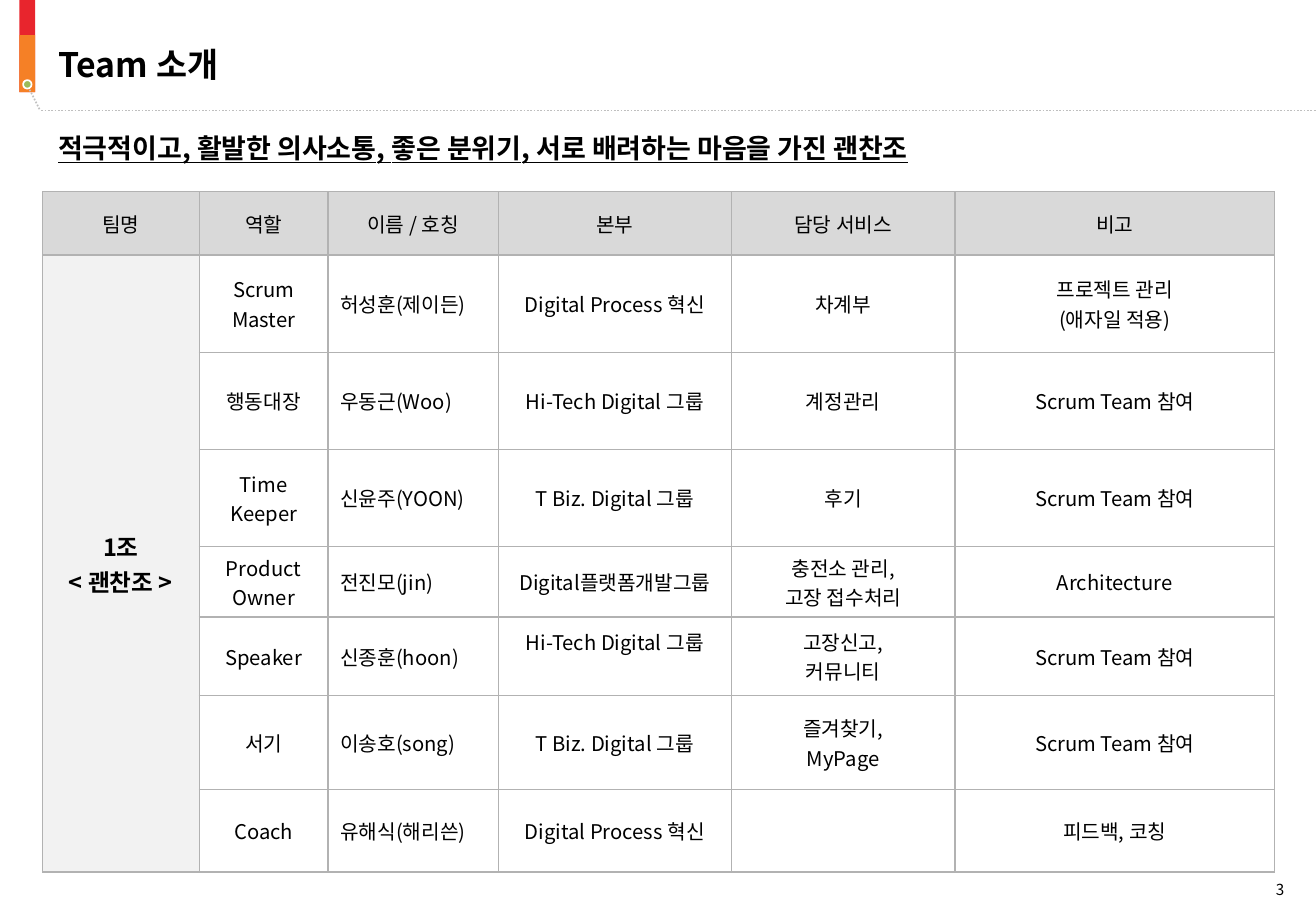
from lxml import etree
from pptx import Presentation
from pptx.dml.color import RGBColor
from pptx.enum.dml import MSO_LINE
from pptx.enum.shapes import MSO_CONNECTOR, MSO_SHAPE
from pptx.enum.text import MSO_ANCHOR, PP_ALIGN
from pptx.oxml.ns import qn
from pptx.util import Inches, Pt

FONT = "Noto Sans CJK KR"
BLACK = RGBColor(0, 0, 0)
WHITE = RGBColor(0xFF, 0xFF, 0xFF)
RED = RGBColor(0xE8, 0x25, 0x2D)
ORANGE = RGBColor(0xF5, 0x80, 0x26)
GREEN = RGBColor(0x9B, 0xBB, 0x59)
LINE_GRAY = RGBColor(0xBF, 0xBF, 0xBF)
BORDER_GRAY = RGBColor(0xB2, 0xB2, 0xB2)
HEADER_GRAY = RGBColor(0xD9, 0xD9, 0xD9)
TEAM_GRAY = RGBColor(0xF2, 0xF2, 0xF2)
LEFT, CENTER = PP_ALIGN.LEFT, PP_ALIGN.CENTER
MIDDLE, BOTTOM = MSO_ANCHOR.MIDDLE, MSO_ANCHOR.BOTTOM
RECT, OVAL = MSO_SHAPE.RECTANGLE, MSO_SHAPE.OVAL
STRAIGHT = MSO_CONNECTOR.STRAIGHT
DOTTED = MSO_LINE.ROUND_DOT

COL_WIDTHS = [1.29, 1.06, 1.4, 1.92, 1.84, 2.63]
ROW_HEIGHTS = [0.52, 0.8, 0.8, 0.8, 0.58, 0.65, 0.77, 0.68]
NAME_COL = 2
HEADER = ["팀명", "역할", "이름 / 호칭", "본부", "담당 서비스", "비고"]
TEAM_NAME = "1조\n< 괜찬조 >"
MEMBERS = [
    ["Scrum Master", "허성훈(제이든)", "Digital Process 혁신", "차계부", "프로젝트 관리\n(애자일 적용)"],
    ["행동대장", "우동근(Woo)", "Hi-Tech Digital 그룹", "계정관리", "Scrum Team 참여"],
    ["Time\nKeeper", "신윤주(YOON)", "T Biz. Digital 그룹", "후기", "Scrum Team 참여"],
    ["Product Owner", "전진모(jin)", "Digital플랫폼개발그룹", "충전소 관리,\n고장 접수처리", "Architecture"],
    ["Speaker", "신종훈(hoon)", "Hi-Tech Digital 그룹", "고장신고,\n커뮤니티", "Scrum Team 참여"],
    ["서기", "이송호(song)", "T Biz. Digital 그룹", "즐겨찾기,\nMyPage", "Scrum Team 참여"],
    ["Coach", "유해식(해리쓴)", "Digital Process 혁신", "", "피드백, 코칭"],
]


def write(tf, text, size, align=LEFT, bold=False, underline=False):
    tf.text = text
    for p in tf.paragraphs:
        p.alignment = align
        p.font.size = Pt(size)
        p.font.bold = bold
        p.font.underline = underline
        p.font.color.rgb = BLACK
        p.font.name = FONT
        props = p._p.pPr.find(qn("a:defRPr"))
        etree.SubElement(props, qn("a:ea"), typeface=FONT)


def add_text(slide, box, text, size, anchor=MIDDLE, **style):
    tf = slide.shapes.add_textbox(*map(Inches, box)).text_frame
    tf.word_wrap = True
    tf.vertical_anchor = anchor
    tf.margin_left = tf.margin_right = tf.margin_top = tf.margin_bottom = 0
    write(tf, text, size, **style)
    return tf


def add_block(slide, kind, box, fill, outline=None):
    sp = slide.shapes.add_shape(kind, *map(Inches, box))
    sp.shadow.inherit = False
    sp.fill.solid()
    sp.fill.fore_color.rgb = fill
    if outline is None:
        sp.line.fill.background()
    else:
        sp.line.color.rgb = outline
        sp.line.width = Pt(1)


def add_dotted_line(slide, *ends):
    line = slide.shapes.add_connector(STRAIGHT, *map(Inches, ends))
    line.line.color.rgb = LINE_GRAY
    line.line.width = Pt(1)
    line.line.dash_style = DOTTED
    etree.SubElement(line._element.spPr, qn("a:effectLst"))


def set_borders(cell):
    props = cell._tc.get_or_add_tcPr()
    for i, side in enumerate(("lnL", "lnR", "lnT", "lnB")):
        ln = etree.Element(qn(f"a:{side}"), w=str(Pt(0.75)))
        fill = etree.SubElement(ln, qn("a:solidFill"))
        etree.SubElement(fill, qn("a:srgbClr"), val=str(BORDER_GRAY))
        props.insert(i, ln)


def fill_cell(cell, text, size=12, align=CENTER, bold=False, fill=None):
    cell.vertical_anchor = MIDDLE
    write(cell.text_frame, text, size, align, bold)
    if fill is None:
        cell.fill.background()
    else:
        cell.fill.solid()
        cell.fill.fore_color.rgb = fill


def add_team_table(slide):
    box = (0.35, 1.58, sum(COL_WIDTHS), sum(ROW_HEIGHTS))
    table = slide.shapes.add_table(
        len(ROW_HEIGHTS), len(COL_WIDTHS), *map(Inches, box)).table
    table.first_row = table.horz_banding = False
    for col, width in zip(table.columns, COL_WIDTHS):
        col.width = Inches(width)
    for row, height in zip(table.rows, ROW_HEIGHTS):
        row.height = Inches(height)
    for c, title in enumerate(HEADER):
        fill_cell(table.cell(0, c), title, fill=HEADER_GRAY)
    for r, member in enumerate(MEMBERS, 1):
        for c, text in enumerate(member, 1):
            align = LEFT if c == NAME_COL else CENTER
            fill_cell(table.cell(r, c), text, align=align)
    team = table.cell(1, 0)
    team.merge(table.cell(len(MEMBERS), 0))
    fill_cell(team, TEAM_NAME, size=14, bold=True, fill=TEAM_GRAY)
    speaker_division = table.cell(5, 3)
    speaker_division.margin_bottom = Inches(0.29)
    for cell in table.iter_cells():
        set_borders(cell)


def main():
    prs = Presentation()
    prs.slide_width, prs.slide_height = Inches(10.83), Inches(7.5)
    slide = prs.slides.add_slide(prs.slide_layouts[6])
    add_dotted_line(slide, 0.34, 0.91, 10.83, 0.91)
    add_block(slide, RECT, (0.16, 0, 0.13, 0.76), RED)
    add_block(slide, RECT, (0.16, 0.29, 0.13, 0.47), ORANGE)
    add_dotted_line(slide, 0.22, 0.69, 0.33, 0.91)
    add_block(slide, OVAL, (0.19, 0.66, 0.07, 0.07), GREEN, WHITE)
    add_text(slide, (10.28, 7.13, 0.51, 0.27), "3", 9, BOTTOM, align=CENTER)
    title = add_text(slide, (0.48, 0.29, 8.23, 0.51), "Team 소개", 20, bold=True)
    title.paragraphs[0].line_spacing = 0.9
    add_team_table(slide)
    add_text(slide, (0.48, 0.96, 10.14, 0.51),
             "적극적이고, 활발한 의사소통, 좋은 분위기, 서로 배려하는 마음을 가진 괜찬조",
             16, bold=True, underline=True)
    prs.save("out.pptx")


if __name__ == "__main__":
    main()
